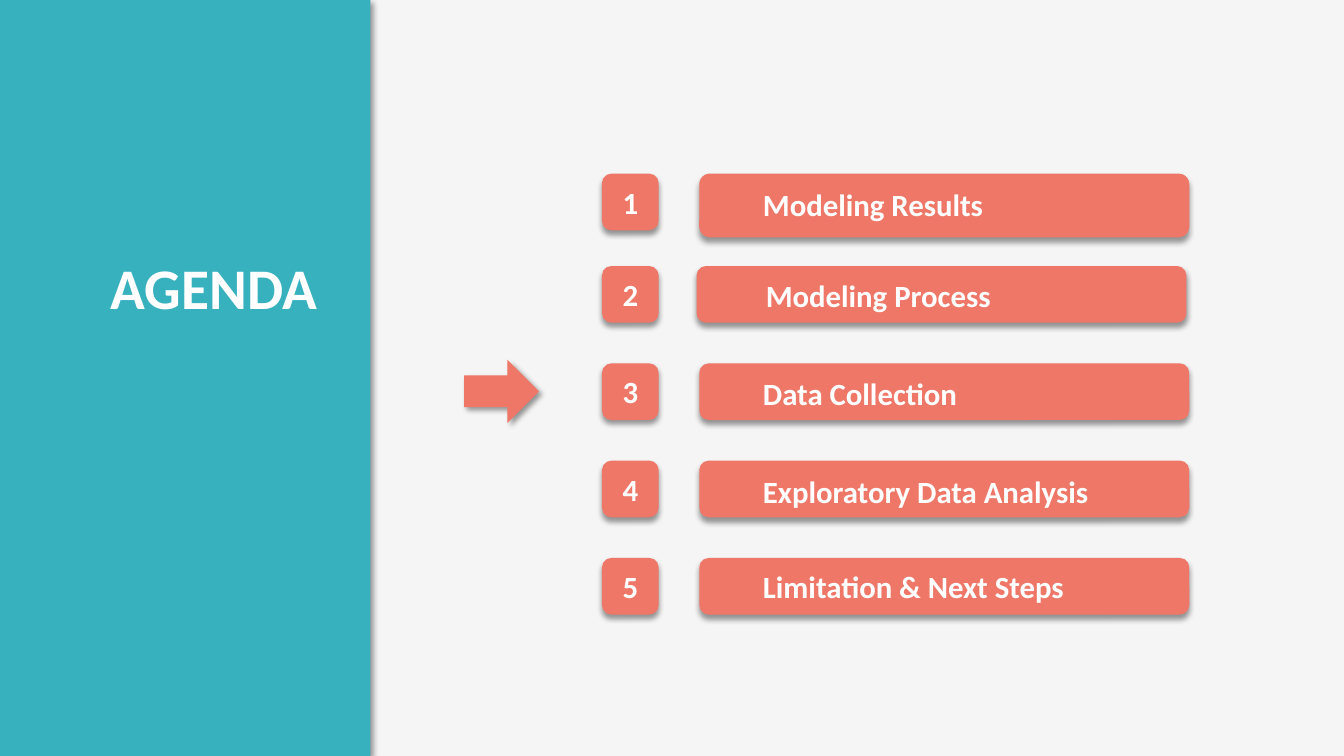
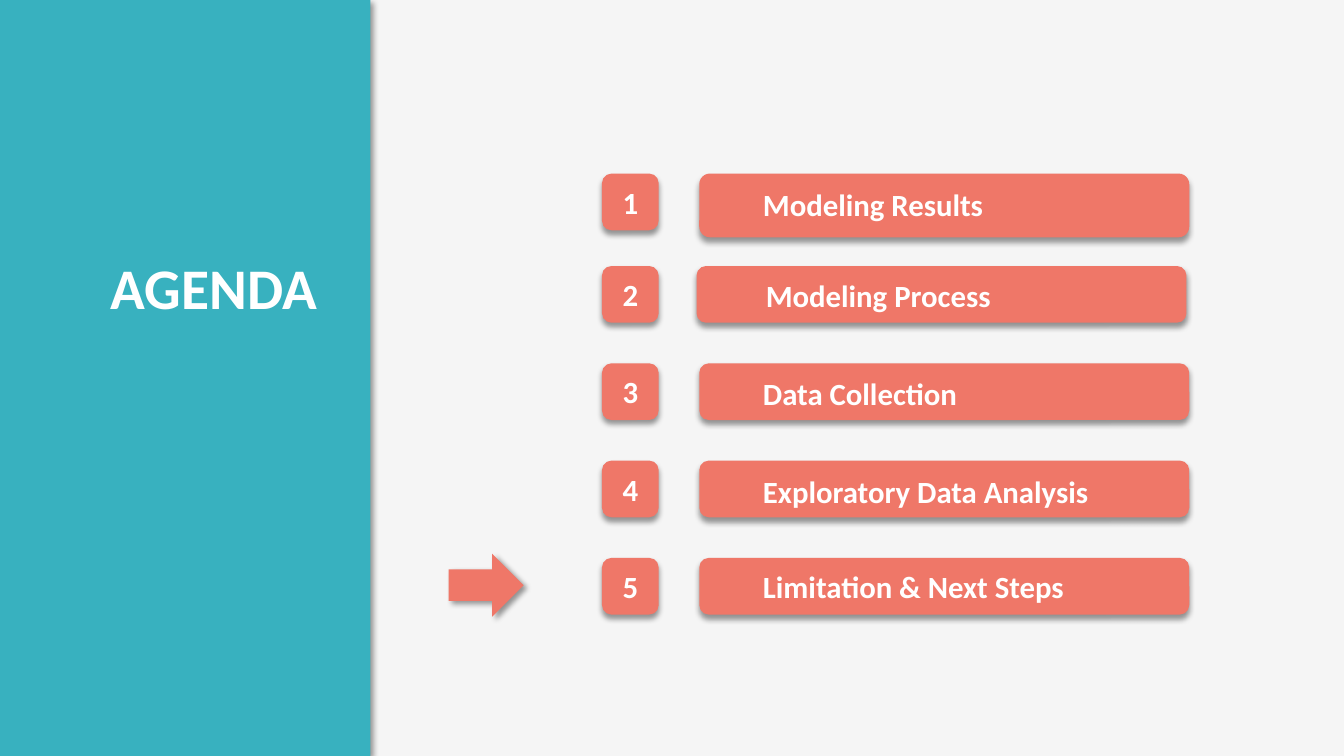
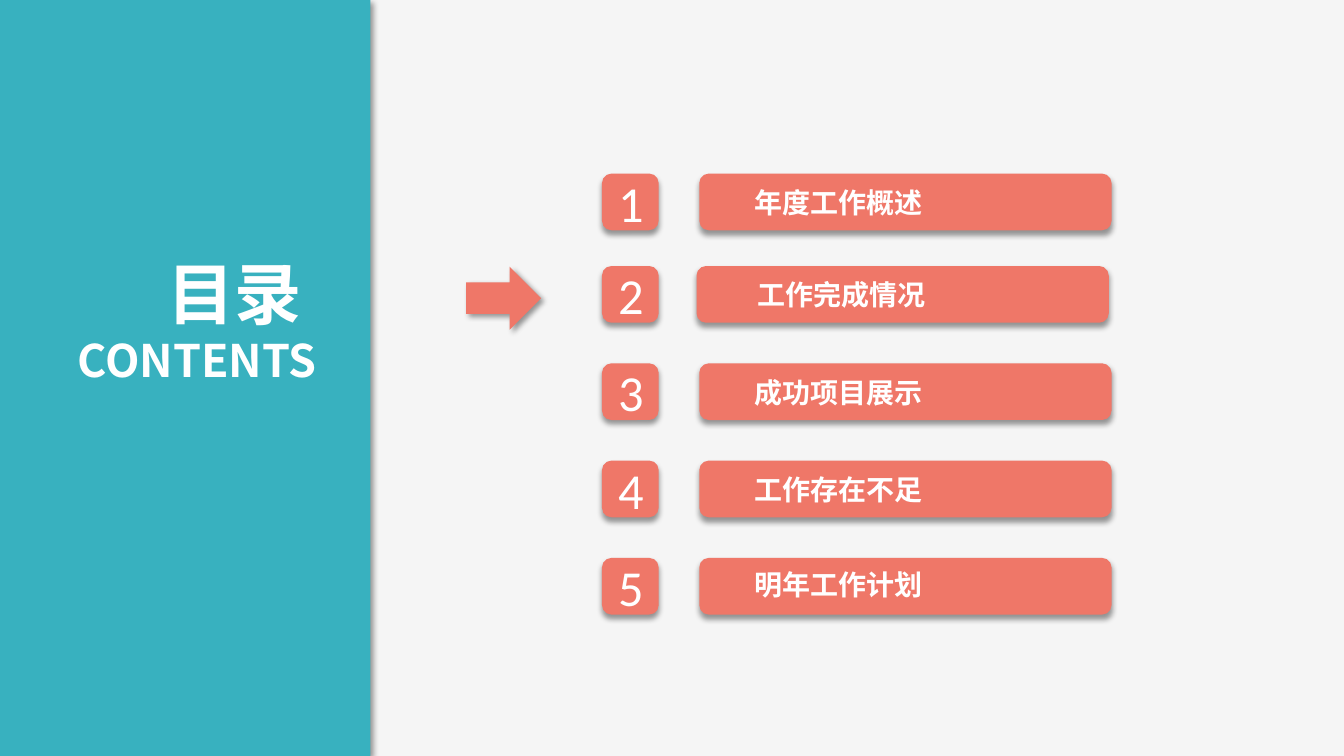
import pptx
import pptx.dml.color
import pptx.enum.shapes
import pptx.enum.text
import pptx.oxml.ns
import pptx.util
from lxml import etree

Pt = pptx.util.Pt
qn = pptx.oxml.ns.qn
rgb = pptx.dml.color.RGBColor.from_string
SHAPE = pptx.enum.shapes.MSO_SHAPE
ALIGN = pptx.enum.text.PP_ALIGN
ANCHOR = pptx.enum.text.MSO_ANCHOR

TEAL, CORAL, WHITE, PALE = "38B1BF", "EF7768", "FFFFFF", "F5F5F5"
LATIN, CHINESE = "Calibri", "Noto Sans CJK SC"


def add_block(shapes, kind, left, top, width, height, color, shadow_angle):
    """Add a borderless filled shape with a soft shadow."""
    shape = shapes.add_shape(kind, Pt(left), Pt(top), Pt(width), Pt(height))
    shape.fill.solid()
    shape.fill.fore_color.rgb = rgb(color)
    shape.line.fill.background()
    shape.shadow.inherit = False
    effects = shape._element.spPr.find(qn("a:effectLst"))
    shadow = etree.SubElement(
        effects, qn("a:outerShdw"), blurRad=str(Pt(4)), dist=str(Pt(3)),
        dir=str(shadow_angle * 60000), algn="ctr", rotWithShape="0")
    black = etree.SubElement(shadow, qn("a:srgbClr"), val="000000")
    etree.SubElement(black, qn("a:alpha"), val="40000")
    return shape


def write_text(shape, lines, font_name, bold, alignment, anchor):
    """Fill a shape with white paragraphs given as (text, size) pairs."""
    frame = shape.text_frame
    frame.word_wrap = True
    frame.vertical_anchor = anchor
    frame.margin_left = frame.margin_right = Pt(9.5)
    frame.margin_top = frame.margin_bottom = Pt(5)
    frame.text = "\n".join(text for text, size in lines)
    for paragraph, (text, size) in zip(frame.paragraphs, lines):
        paragraph.alignment = alignment
        for run in paragraph.runs:
            run.font.size = Pt(size)
            run.font.bold = bold
            run.font.color.rgb = rgb(WHITE)
            run.font.name = font_name
            etree.SubElement(run.font._element, qn("a:ea"), typeface=font_name)


# Row geometry: top, bar shift, label shift, label drop
TILE = 40.5
ROWS = [(124, 0, 0, 3.5), (190, -2, 2, 3), (259.5, 0, 0, 3.5),
        (329, 0, 0, 3.5), (398.5, 0, 0, 2)]

# The two agendas: labels are (text, box width)
english = {
    "font": LATIN, "title": [("AGENDA", 41)], "title_height": 59,
    "labels": [("Modeling Results", 248), ("Modeling Process", 248),
               ("Data Collection", 256), ("Exploratory Data Analysis", 307),
               ("Limitation & Next Steps", 305)],
    "label_size": 22, "label_left": 535.5, "bar_width": 350,
    "first_bar_height": 45.5, "number_size": 22, "number_bold": True,
}
chinese = {
    "font": CHINESE, "title": [("目录 ", 48), ("CONTENTS", 32)], "title_height": 106.5,
    "labels": [("年度工作概述", 209), ("工作完成情况", 209), ("成功项目展示", 215),
               ("工作存在不足", 215), ("明年工作计划", 215)],
    "label_size": 20, "label_left": 529.5, "bar_width": 294.5,
    "first_bar_height": TILE, "number_size": 36, "number_bold": False,
}

# Each slide: agenda, arrow left, arrow top
SLIDES = [(english, 331.5, 257), (english, 320.5, 395.5), (chinese, 333, 190.5)]

presentation = pptx.Presentation()
presentation.slide_width, presentation.slide_height = Pt(960), Pt(540)
background = presentation.slide_master.background.fill
background.solid()
background.fore_color.rgb = rgb(PALE)

for agenda, arrow_left, arrow_top in SLIDES:
    slide = presentation.slides.add_slide(presentation.slide_layouts[6])

    # Numbered rows
    for number, (row, label) in enumerate(zip(ROWS, agenda["labels"]), start=1):
        top, bar_shift, label_shift, label_drop = row
        text, label_width = label
        tile = add_block(slide.shapes, SHAPE.ROUNDED_RECTANGLE,
                         430, top, TILE, TILE, CORAL, 90)
        write_text(tile, [(str(number), agenda["number_size"])], LATIN,
                   agenda["number_bold"], ALIGN.CENTER, ANCHOR.MIDDLE)

        bar_height = agenda["first_bar_height"] if number == 1 else TILE
        group = slide.shapes.add_group_shape()
        add_block(group.shapes, SHAPE.ROUNDED_RECTANGLE, 499.5 + bar_shift, top,
                  agenda["bar_width"], bar_height, CORAL, 90)
        label_box = group.shapes.add_textbox(
            Pt(agenda["label_left"] + label_shift), Pt(top + label_drop),
            Pt(label_width), Pt(bar_height - 7))
        write_text(label_box, [(text, agenda["label_size"])], agenda["font"],
                   True, ALIGN.LEFT, ANCHOR.TOP)

    # Side band with title
    add_block(slide.shapes, SHAPE.RECTANGLE, 0, 0, 264.5, 540, TEAL, 45)
    title = slide.shapes.add_textbox(Pt(15), Pt(175), Pt(221), Pt(agenda["title_height"]))
    write_text(title, agenda["title"], agenda["font"], True, ALIGN.RIGHT, ANCHOR.TOP)

    # Arrow to the current row
    add_block(slide.shapes, SHAPE.RIGHT_ARROW, arrow_left, arrow_top, 53.5, 45, CORAL, 45)

presentation.save("out.pptx")
